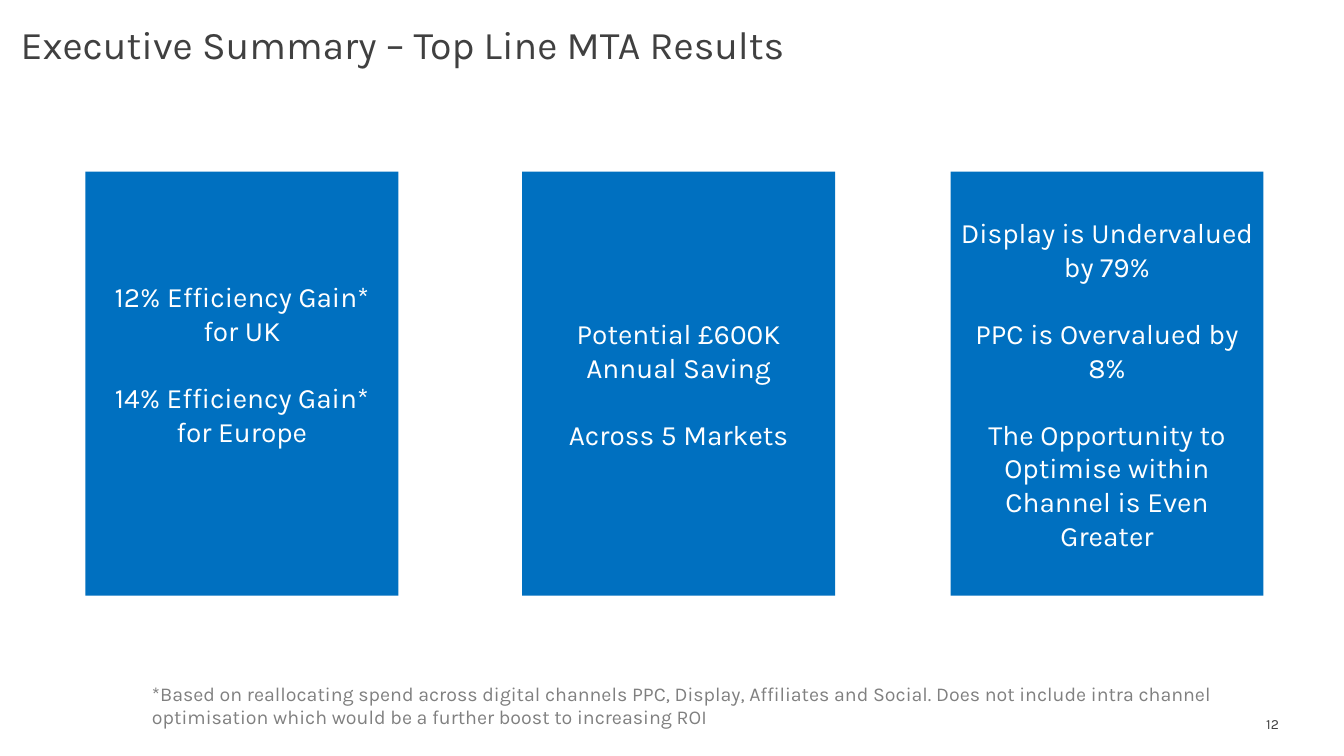
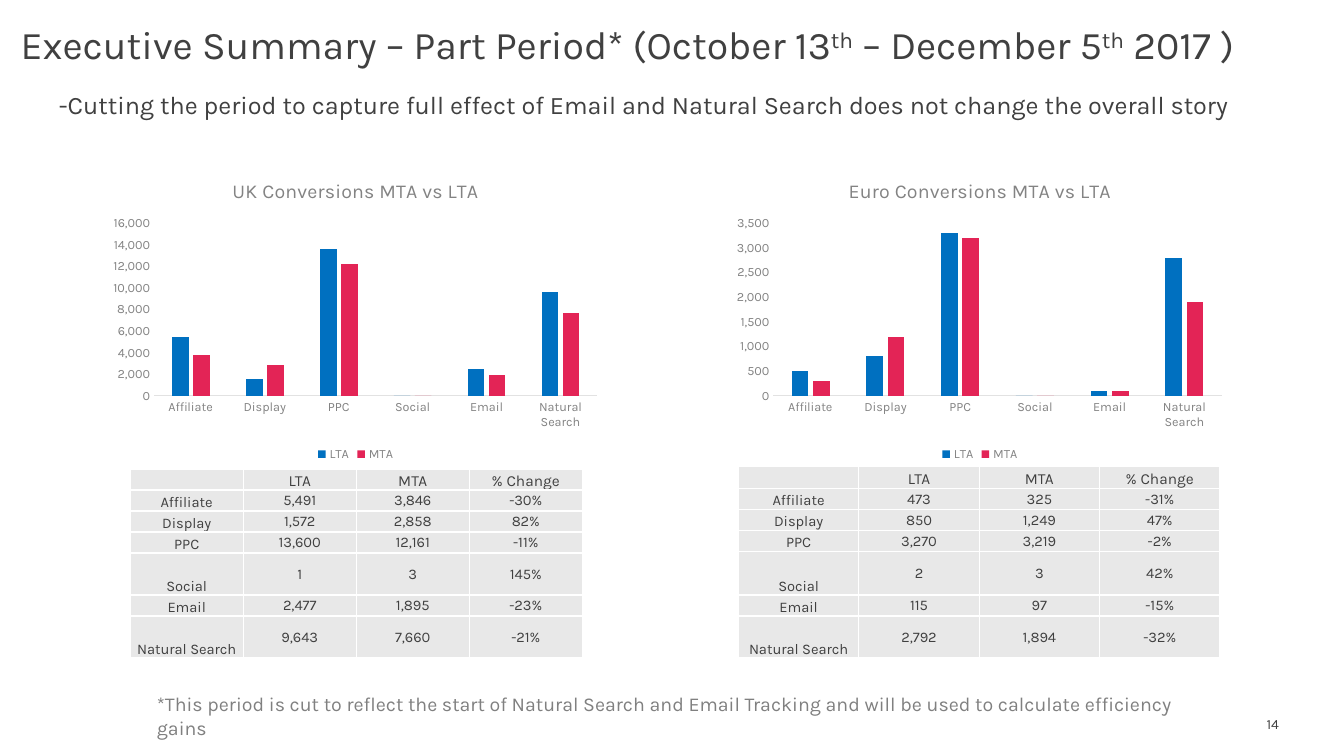
from lxml import etree
from pptx import Presentation
from pptx.chart.data import CategoryChartData
from pptx.dml.color import RGBColor
from pptx.enum.chart import XL_CHART_TYPE, XL_LEGEND_POSITION, XL_TICK_MARK
from pptx.enum.shapes import MSO_SHAPE
from pptx.enum.text import MSO_ANCHOR, PP_ALIGN
from pptx.oxml.ns import qn
from pptx.util import Pt

FONT = "Karla"
BLUE = RGBColor(0x00, 0x70, 0xC0)
RED = RGBColor(0xE3, 0x24, 0x56)
DARK = RGBColor(0x40, 0x40, 0x40)
GREY = RGBColor(0x80, 0x80, 0x80)
AXIS_GREY = RGBColor(0x83, 0x83, 0x83)
RULE = RGBColor(0xE2, 0xE2, 0xE2)
CELL = RGBColor(0xE8, 0xE8, 0xE8)
WHITE = RGBColor(0xFF, 0xFF, 0xFF)

# Titles are lists of (text, is superscript)
RESULTS_TITLE = [("Executive Summary – Top Line MTA Results", False)]
PERIOD_TITLE = [
    ("Executive Summary – Part Period* (October 13", False), ("th", True),
    (" – December 5", False), ("th", True), (" 2017 )", False),
]
# Panels: left, extra bottom inset, paragraphs
PANELS = [
    (61, 28, ["12% Efficiency Gain* for UK", "14% Efficiency Gain* for Europe"]),
    (373, 0, ["Potential £600K Annual Saving", "Across 5 Markets"]),
    (679, 0, ["Display is Undervalued by 79%", "PPC is Overvalued by 8%",
              "The Opportunity to Optimise within Channel is Even Greater"]),
]
RESULTS_NOTE = ("*Based on reallocating spend across digital channels PPC, Display, "
                "Affiliates and Social. Does not include intra channel optimisation "
                "which would be a further boost to increasing ROI")
PERIOD_LEAD = ("-Cutting the period to capture full effect of Email and Natural Search "
               "does not change the overall story")
PERIOD_NOTE = ("*This period is cut to reflect the start of Natural Search and Email "
               "Tracking and will be used to calculate efficiency gains")

CHANNELS = ["Affiliate", "Display", "PPC", "Social", "Email", "Natural Search"]
HEADER = ["", "LTA", "MTA", "% Change"]
REGIONS = [
    {"title": "UK Conversions MTA vs LTA", "chart_left": 74, "step": 2000, "top": 16000,
     "plot_x": 0.1, "plot_width": 0.88, "table_left": 93, "column": 80.75,
     "row_heights": [15, 15, 15, 15, 30, 15, 30],
     "LTA": [5491, 1572, 13600, 1, 2477, 9643],
     "MTA": [3846, 2858, 12161, 3, 1895, 7660],
     "change": ["-30%", "82%", "-11%", "145%", "-23%", "-21%"]},
    {"title": "Euro Conversions MTA vs LTA", "chart_left": 520, "step": 500, "top": 3500,
     "plot_x": 0.09, "plot_width": 0.89, "table_left": 527.5, "column": 86,
     "row_heights": [16, 15, 15, 15, 31, 15, 30],
     "LTA": [473, 850, 3270, 2, 115, 2792],
     "MTA": [325, 1249, 3219, 3, 97, 1894],
     "change": ["-31%", "47%", "-2%", "42%", "-15%", "-32%"]},
]
TABLE_BOTTOM = 470


def set_font(font, size, color):
    font.name, font.size, font.bold = FONT, Pt(size), False
    font.color.rgb = color


def format_para(para, size, color, align=PP_ALIGN.LEFT):
    para.alignment = align
    for span in para.runs:
        set_font(span.font, size, color)


def add_text(page, text, left, top, width, height, size, color, align=PP_ALIGN.LEFT):
    box = page.shapes.add_textbox(Pt(left), Pt(top), Pt(width), Pt(height))
    frame = box.text_frame
    frame.word_wrap = True
    frame.text = text
    format_para(frame.paragraphs[0], size, color, align)
    return frame


def add_page(deck, title_parts, number):
    page = deck.slides.add_slide(deck.slide_layouts[5])
    title = page.shapes.title
    title.left, title.top, title.width, title.height = Pt(7.5), Pt(0), Pt(950), Pt(52.5)
    title.text_frame.vertical_anchor = MSO_ANCHOR.BOTTOM
    para = title.text_frame.paragraphs[0]
    para.line_spacing = 0.9
    for text, raised in title_parts:
        span = para.add_run()
        span.text = text
        if raised:
            span.font._element.set("baseline", "30000")
    format_para(para, 28, DARK)
    frame = add_text(page, str(number), 880, 507.5, 38, 19.5, 10, DARK, PP_ALIGN.RIGHT)
    frame.margin_right = Pt(4.5)
    return page


def add_panel(page, left, extra_inset, lines):
    panel = page.shapes.add_shape(MSO_SHAPE.RECTANGLE, Pt(left), Pt(122.5), Pt(223.5), Pt(303))
    panel.shadow.inherit = False
    panel.fill.solid()
    panel.fill.fore_color.rgb = BLUE
    panel.line.fill.background()
    frame = panel.text_frame
    frame.word_wrap = True
    frame.vertical_anchor = MSO_ANCHOR.MIDDLE
    frame.margin_bottom = Pt(3.6 + extra_inset)
    frame.text = "\n".join(lines)
    for index, para in enumerate(frame.paragraphs):
        format_para(para, 20, WHITE, PP_ALIGN.CENTER)
        if index:
            para.space_before = Pt(24)


def place_plot(chart, **fractions):
    area = chart._chartSpace.chart.plotArea
    for old in area.findall(qn("c:layout")):
        area.remove(old)
    layout = etree.Element(qn("c:layout"))
    manual = etree.SubElement(layout, qn("c:manualLayout"))
    settings = {"layoutTarget": "inner", "xMode": "edge", "yMode": "edge", **fractions}
    for name, value in settings.items():
        etree.SubElement(manual, qn("c:" + name)).set("val", str(value))
    area.insert(0, layout)


def add_conversion_chart(page, region):
    data = CategoryChartData(number_format="#,##0")
    data.categories = CHANNELS
    for name in ("LTA", "MTA"):
        # The bars show hundreds; the table holds the full counts
        data.add_series(name, [round(value, -2) for value in region[name]])
    chart = page.shapes.add_chart(XL_CHART_TYPE.COLUMN_CLUSTERED, Pt(region["chart_left"]),
                                  Pt(116.5), Pt(360), Pt(216), data).chart
    set_font(chart.font, 10, DARK)
    chart.has_title = True
    chart.chart_title.text_frame.text = region["title"]
    format_para(chart.chart_title.text_frame.paragraphs[0], 14, AXIS_GREY, PP_ALIGN.CENTER)
    chart.chart_title.include_in_layout = False
    chart.has_legend = True
    chart.legend.position = XL_LEGEND_POSITION.BOTTOM
    chart.legend.include_in_layout = False
    set_font(chart.legend.font, 9, AXIS_GREY)
    for axis in (chart.category_axis, chart.value_axis):
        axis.major_tick_mark = axis.minor_tick_mark = XL_TICK_MARK.NONE
        axis.has_major_gridlines = False
        set_font(axis.tick_labels.font, 9, AXIS_GREY)
    chart.category_axis.format.line.color.rgb = RULE
    chart.category_axis.format.line.width = Pt(0.75)
    values = chart.value_axis
    values.format.line.fill.background()
    values.minimum_scale, values.maximum_scale = 0, region["top"]
    values.major_unit = region["step"]
    values.tick_labels.number_format = "#,##0"
    values.tick_labels.number_format_is_linked = False
    plot = chart.plots[0]
    plot.gap_width, plot.overlap, plot.vary_by_categories = 219, -27, False
    for series, color in zip(plot.series, (BLUE, RED)):
        series.format.fill.solid()
        series.format.fill.fore_color.rgb = color
    place_plot(chart, x=region["plot_x"], y=0.2, w=region["plot_width"], h=0.57)


def format_cell(cell, text, size, anchor):
    cell.margin_left = cell.margin_right = cell.margin_top = Pt(0.75)
    cell.margin_bottom = Pt(0)
    cell.vertical_anchor = anchor
    cell.text = text
    para = cell.text_frame.paragraphs[0]
    format_para(para, size, DARK, PP_ALIGN.CENTER)
    if not text:
        etree.SubElement(para._p, qn("a:endParaRPr")).set("sz", str(size * 100))
    # White cell borders go ahead of the fill
    for side in ("lnL", "lnR", "lnT", "lnB"):
        line = etree.SubElement(cell._tc.get_or_add_tcPr(), qn("a:" + side), w=str(Pt(1)))
        paint = etree.SubElement(line, qn("a:solidFill"))
        etree.SubElement(paint, qn("a:srgbClr")).set("val", str(WHITE))
    cell.fill.solid()
    cell.fill.fore_color.rgb = CELL


def add_conversion_table(page, region):
    rows = [HEADER] + [
        [channel, f"{lta:,}", f"{mta:,}", change] for channel, lta, mta, change
        in zip(CHANNELS, region["LTA"], region["MTA"], region["change"])]
    heights = region["row_heights"]
    total = sum(heights)
    table = page.shapes.add_table(
        len(rows), len(HEADER), Pt(region["table_left"]), Pt(TABLE_BOTTOM - total),
        Pt(region["column"] * len(HEADER)), Pt(total)).table
    table.first_row = table.horz_banding = False
    for column in table.columns:
        column.width = Pt(region["column"])
    for r, (texts, height) in enumerate(zip(rows, heights)):
        table.rows[r].height = Pt(height)
        for c, text in enumerate(texts):
            low = r == 0 or c == 0
            format_cell(table.cell(r, c), text, 11 if r == 0 else 10.5,
                        MSO_ANCHOR.BOTTOM if low else MSO_ANCHOR.MIDDLE)


def main():
    deck = Presentation()
    deck.slide_width, deck.slide_height = Pt(960), Pt(540)

    # Top line results
    page = add_page(deck, RESULTS_TITLE, 12)
    for panel in PANELS:
        add_panel(page, *panel)
    add_text(page, RESULTS_NOTE, 101.5, 483.5, 800.5, 41, 14, GREY)

    # Part period
    page = add_page(deck, PERIOD_TITLE, 14)
    add_text(page, PERIOD_LEAD, 35, 60.5, 900, 29, 18, DARK)
    for region in REGIONS:
        add_conversion_chart(page, region)
        add_conversion_table(page, region)
    add_text(page, PERIOD_NOTE, 105, 491, 775, 41, 14, GREY)

    deck.save("out.pptx")


if __name__ == "__main__":
    main()
